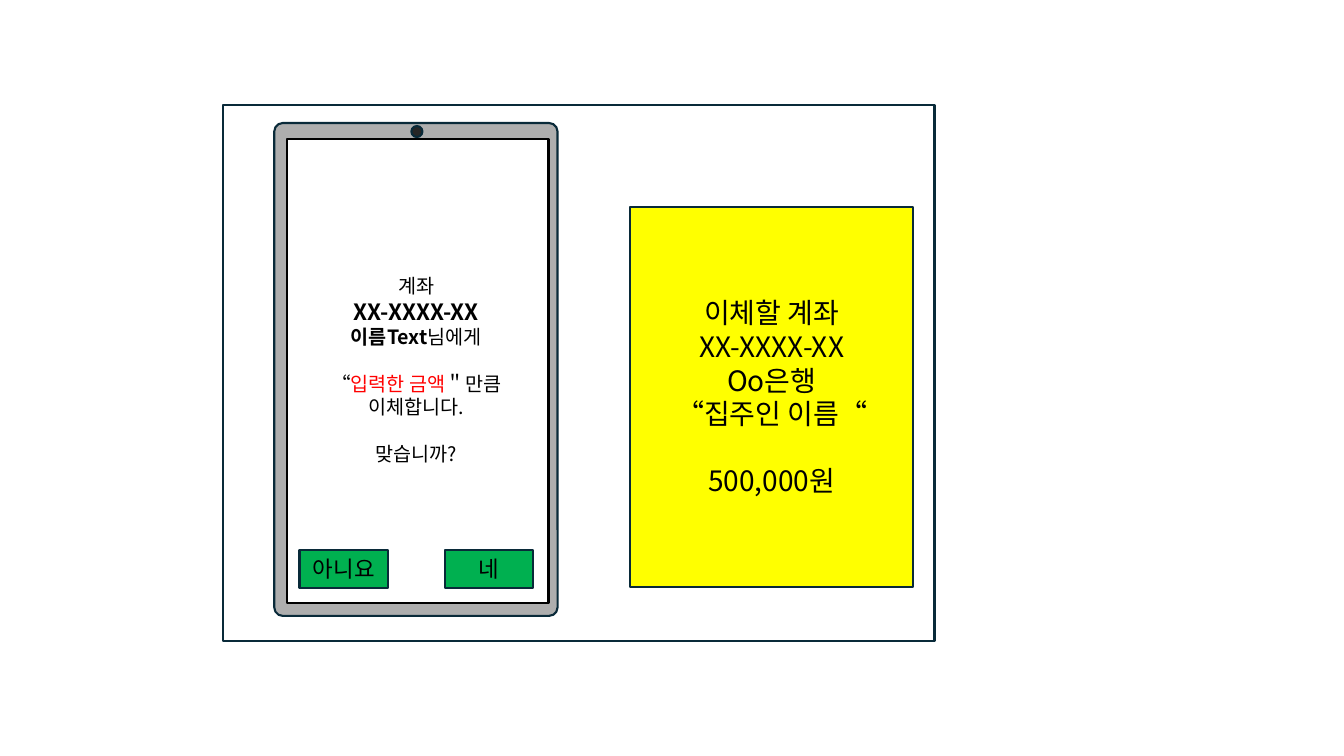
"""Builds a slide with a phone asking to confirm a bank transfer beside a payee note."""
from dataclasses import dataclass

from lxml import etree
from pptx import Presentation
from pptx import util as u
from pptx.dml.color import RGBColor
from pptx.enum import shapes, text
from pptx.oxml.ns import qn

SCALE = 9144


@dataclass(frozen=True)
class Theme:
    font: str = "Noto Sans CJK KR"
    white: str = "FFFFFF"
    black: str = "000000"
    outline: str = "092A39"
    phone: str = "AEAEAE"
    camera: str = "262626"
    note: str = "FFFF00"
    button: str = "00B050"
    amount: str = "FF0000"
    large: int = 20
    medium: int = 16
    small: int = 14
    line_height: float = 1.2
    line_width: float = 1.5


THEME = Theme()
KINDS = shapes.MSO_SHAPE


@dataclass(frozen=True)
class Line:
    spans: tuple
    size: int
    bold: bool = False
    gap: bool = False


@dataclass(frozen=True)
class Span:
    words: str
    color: str = ""
    bold: bool = False


def px(length):
    return u.Emu(length * SCALE)


def add_box(page, kind, bounds, fill, outline=THEME.outline):
    box = page.shapes.add_shape(kind, *map(px, bounds))
    box.shadow.inherit = False
    box.fill.solid()
    box.fill.fore_color.rgb = RGBColor.from_string(fill)
    if outline:
        box.line.color.rgb = RGBColor.from_string(outline)
        box.line.width = u.Pt(THEME.line_width)
    else:
        box.line.fill.background()
    return box


def set_font(para, size, bold):
    para.font.size = u.Pt(size)
    para.font.bold = bold
    para.font.color.rgb = RGBColor.from_string(THEME.black)
    para.font.name = THEME.font
    latin = para._p.pPr.find(qn("a:defRPr")).find(qn("a:latin"))
    latin.addnext(etree.Element(qn("a:ea"), typeface=THEME.font))


def write_lines(box, lines):
    frame = box.text_frame
    frame.word_wrap = True
    frame.vertical_anchor = text.MSO_ANCHOR.MIDDLE
    for index, line in enumerate(lines):
        para = frame.add_paragraph() if index else frame.paragraphs[0]
        para.alignment = text.PP_ALIGN.CENTER
        height = u.Pt(line.size * THEME.line_height)
        para.line_spacing = height
        if line.gap:
            para.space_before = height
        set_font(para, line.size, line.bold)
        for span in line.spans:
            run = para.add_run()
            run.text = span.words
            if span.bold:
                run.font.bold = True
            if span.color:
                run.font.color.rgb = RGBColor.from_string(span.color)


def plain(words, size, bold=False, gap=False):
    return Line((Span(words),), size, bold, gap)


def add_phone(page):
    body = add_box(page, KINDS.ROUNDED_RECTANGLE, (272, 122, 281, 489), THEME.phone)
    body.adjustments[0] = 0.03
    add_box(page, KINDS.RECTANGLE, (285, 138, 259, 460), THEME.white, THEME.black)
    add_box(page, KINDS.OVAL, (408, 125, 11, 11), THEME.camera)


def add_note(page):
    note = add_box(page, KINDS.RECTANGLE, (625, 205, 281, 377), THEME.note)
    rows = ("이체할 계좌", "XX-XXXX-XX", "Oo은행", "“집주인 이름“")
    lines = [plain(words, THEME.large) for words in rows]
    write_lines(note, lines + [plain("500,000원", THEME.large, gap=True)])


def add_message(page):
    message = add_box(page, KINDS.RECTANGLE, (303, 202, 220, 330), THEME.white, None)
    recipient = (Span("이름Text", bold=True), Span("님에게"))
    amount = (Span("“"), Span("입력한 금액", THEME.amount), Span("＂만큼"))
    write_lines(message, [
        plain("계좌", THEME.small),
        plain("XX-XXXX-XX", THEME.medium, bold=True),
        Line(recipient, THEME.small),
        Line(amount, THEME.small, gap=True),
        plain("이체합니다.", THEME.small),
        plain("맞습니까?", THEME.small, gap=True),
    ])


def add_button(page, left, label):
    button = add_box(page, KINDS.RECTANGLE, (left, 546, 88, 37), THEME.button)
    write_lines(button, [plain(label, THEME.medium)])


def main():
    deck = Presentation()
    deck.slide_width, deck.slide_height = u.Inches(13.33), u.Inches(7.5)
    page = deck.slides.add_slide(deck.slide_layouts[6])
    add_box(page, KINDS.RECTANGLE, (221, 104, 706, 532), THEME.white)
    add_phone(page)
    add_note(page)
    add_message(page)
    for left, label in ((441, "네"), (297, "아니요")):
        add_button(page, left, label)
    deck.save("out.pptx")


if __name__ == "__main__":
    main()
